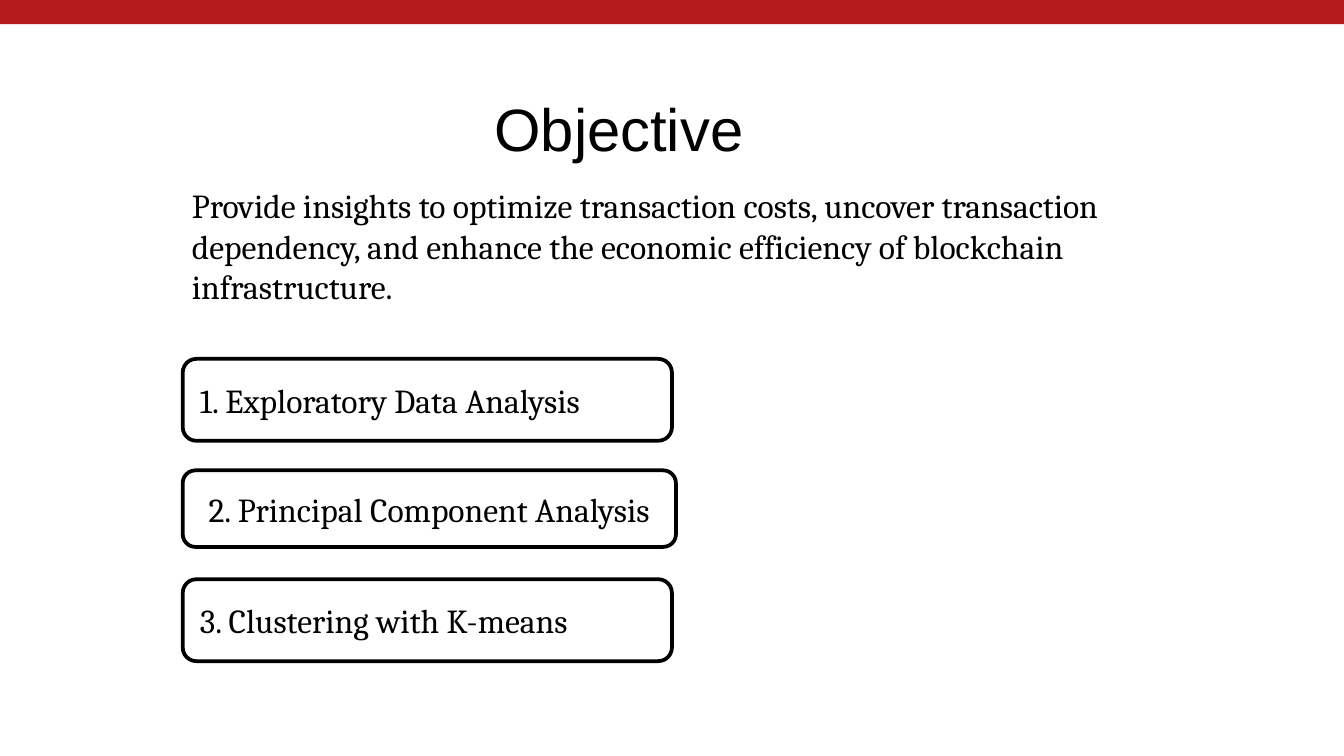
import pptx
import pptx.util
import pptx.dml.color
import pptx.enum.shapes
import pptx.enum.text

Inches = pptx.util.Inches
ALIGN = pptx.enum.text.PP_ALIGN
ANCHOR = pptx.enum.text.MSO_ANCHOR
SHAPE = pptx.enum.shapes.MSO_SHAPE

COLORS = {"banner": "B31B1B", "ink": "000000", "paper": "FFFFFF"}


def color(name):
    return pptx.dml.color.RGBColor.from_string(COLORS[name])


def write_text(frame, text, font="Cambria", size=18, align=ALIGN.LEFT,
               anchor=ANCHOR.TOP):
    frame.word_wrap = True
    frame.vertical_anchor = anchor
    para = frame.paragraphs[0]
    para.alignment = align
    span = para.add_run()
    span.text = text
    span.font.name = font
    span.font.size = pptx.util.Pt(size)
    span.font.color.rgb = color("ink")


class SlideBuilder:
    """Holds the line style and the slide being built."""

    line_width = pptx.util.Pt(2)

    def __init__(self, page):
        self.page = page

    def shape(self, kind, left, top, width, height, fill):
        box = self.page.shapes.add_shape(
            kind, Inches(left), Inches(top), Inches(width), Inches(height))
        box.shadow.inherit = False
        box.fill.solid()
        box.fill.fore_color.rgb = color(fill)
        return box

    def banner(self, width, height):
        box = self.shape(SHAPE.RECTANGLE, 0, 0, width, height, "banner")
        box.line.fill.background()

    def text(self, left, top, width, height, text, **text_format):
        box = self.page.shapes.add_textbox(
            Inches(left), Inches(top), Inches(width), Inches(height))
        write_text(box.text_frame, text, **text_format)

    def step(self, top, width, height, text, align):
        box = self.shape(SHAPE.ROUNDED_RECTANGLE, 1.36, top, width, height, "paper")
        box.line.color.rgb = color("ink")
        box.line.width = self.line_width
        write_text(box.text_frame, text, align=align, anchor=ANCHOR.MIDDLE)


def main():
    deck = pptx.Presentation()
    deck.slide_width = Inches(10)
    deck.slide_height = deck.slide_width * 9 // 16
    builder = SlideBuilder(deck.slides.add_slide(deck.slide_layouts[6]))

    builder.banner(10, 0.18)
    builder.text(
        1.33, 1.33, 7.83, 1.31,
        "Provide insights to optimize transaction costs, uncover transaction "
        "dependency, and enhance the economic efficiency of blockchain "
        "infrastructure.")
    builder.text(3.58, 0.63, 5.22, 0.91, "Objective", font="Arial", size=32)

    steps = [
        (2.67, 3.64, 0.61, "1. Exploratory Data Analysis", ALIGN.LEFT),
        (3.5, 3.67, 0.57, "2. Principal Component Analysis", ALIGN.CENTER),
        (4.31, 3.64, 0.61, "3. Clustering with K-means", ALIGN.LEFT),
    ]
    for step in steps:
        builder.step(*step)

    deck.save("out.pptx")


if __name__ == "__main__":
    main()
